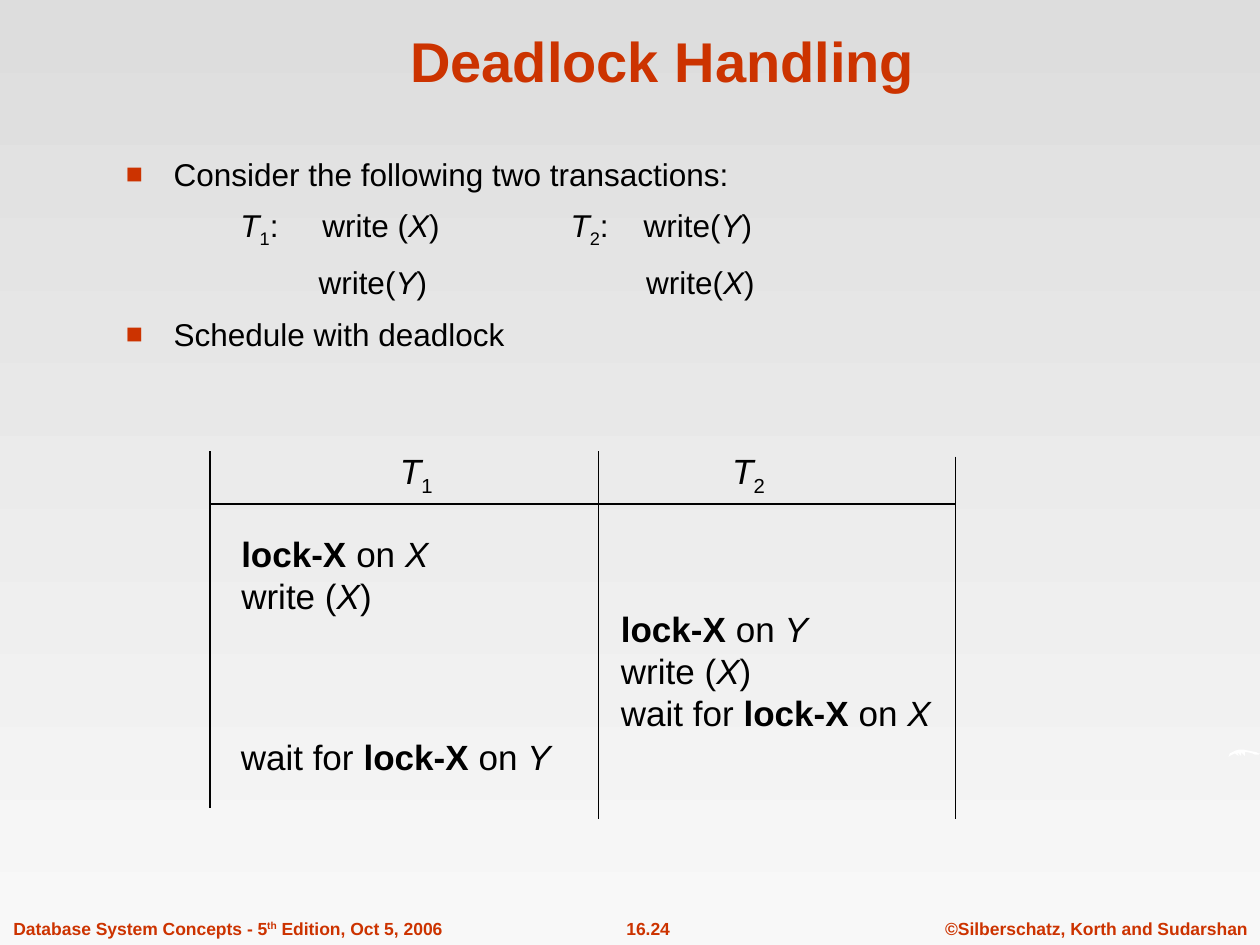
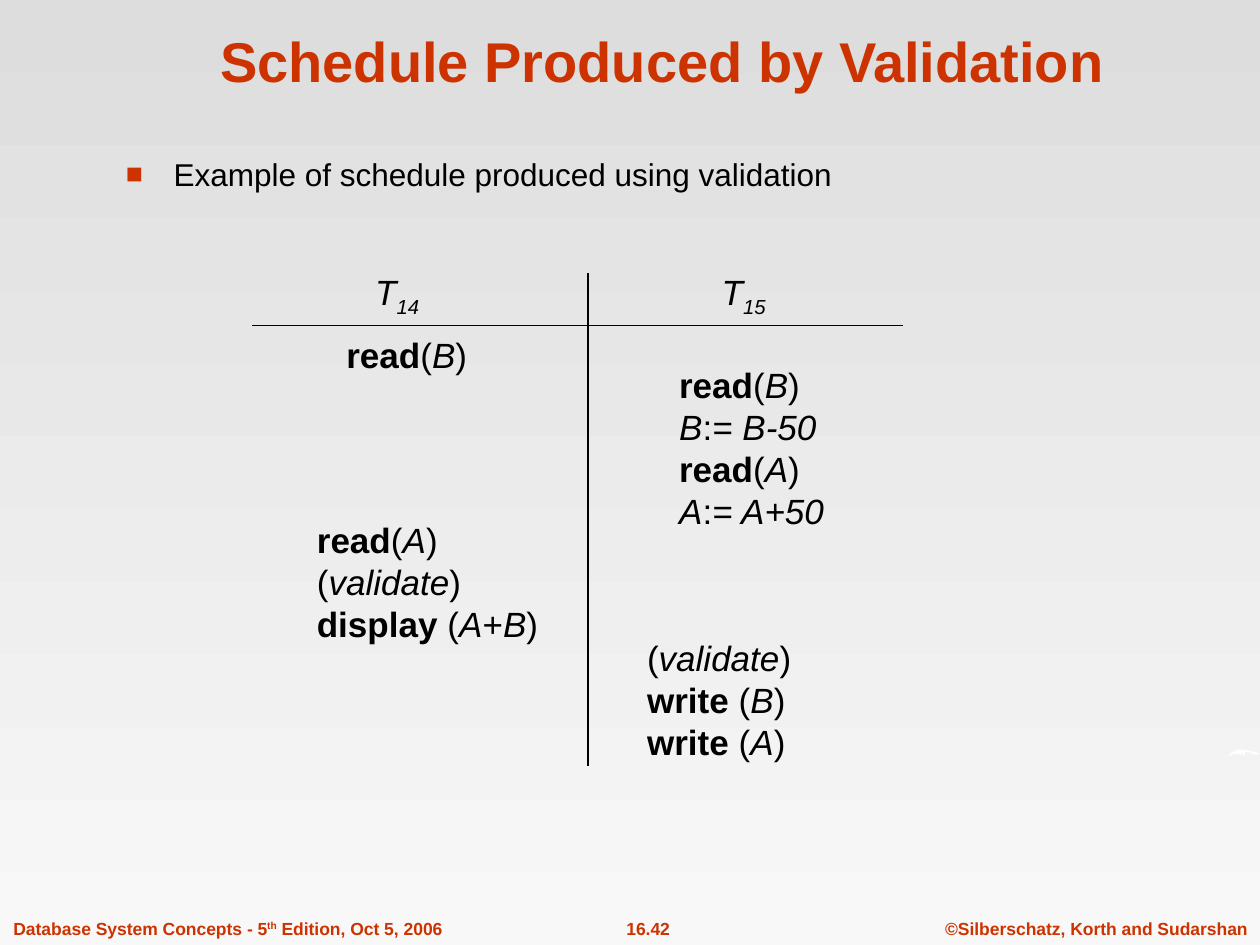
"""Build two lecture slides on transaction schedules."""
import dataclasses
import typing

import lxml.etree
import pptx
import pptx.dml.color
import pptx.enum.dml
import pptx.enum.shapes
import pptx.enum.text
import pptx.oxml.ns
import pptx.slide
import pptx.text.text
import pptx.util

COLOURS = {"accent": "CC3300", "ink": "000000", "top": "DDDDDD", "bottom": "F8F8F8", "swoosh": "FFFFFF"}
FONT = "Arial"
WIDTH, HEIGHT = pptx.util.Inches(10), pptx.util.Inches(7.5)
COLUMNS, ROWS = 120, 90
TITLE_AREA = (10.1, 1.5, 106, 8)
BODY_AREA = (10.8, 14.15, 100.5, 64.25)
FOOTER_TOP, FOOTER_HEIGHT = 86.8, 3.2
LINE_ROWS, PADDING_ROWS, SUBSCRIPT_ROWS = 4, 1.25, 0.5
MARKS = "*_~^"
BASELINES = {"~": "-25000", "^": "30000"}
BULLET_INDENT = 0.38
TOP_TABS, LOWER_TABS = (0.91, 1.56, 3.53, 4.11), (1.53, 4.13)
ALIGN = pptx.enum.text.PP_ALIGN
SWOOSH_POINTS = [
    (975, 601), (976, 598), (978, 597), (980, 596), (983, 595), (987, 595),
    (992, 596), (997, 597), (999, 598), (1000, 598), (999, 599), (996, 599),
    (994, 598), (990, 597), (988, 597), (988, 600), (985, 597), (985, 600),
    (982, 597), (983, 600), (980, 598), (978, 599), (976, 600),
]


@dataclasses.dataclass(frozen=True)
class Line:
    """A paragraph: *bold*, _italic_, ~subscript~ and ^superscript^."""
    text: str
    bullet: bool = False
    tabs: tuple[float, ...] = ()


@dataclasses.dataclass(frozen=True)
class Rule:
    """A straight line of the schedule grid, in columns and rows."""
    left: float
    top: float
    right: float
    bottom: float


@dataclasses.dataclass(frozen=True)
class Steps:
    """A block of schedule steps, in columns and rows."""
    left: float
    top: float
    width: float
    lines: tuple[str, ...]

    @property
    def height(self) -> float:
        """Return the rows that the lines need."""
        subscript = SUBSCRIPT_ROWS if "~" in self.lines[0] else 0
        return len(self.lines) * LINE_ROWS + PADDING_ROWS + subscript


@dataclasses.dataclass(frozen=True)
class Schedule:
    """The content of one slide."""
    title: str
    number: str
    body: tuple[Line, ...]
    rules: tuple[Rule, ...]
    steps: tuple[Steps, ...]


SCHEDULES = (
    Schedule(
        "Deadlock Handling", "16.24",
        (
            Line("Consider the following two transactions:", bullet=True),
            Line("\t_T_~1~:\twrite (_X_)\t_T_~2~:\twrite(_Y_)", tabs=TOP_TABS),
            Line("\twrite(_Y_)\twrite(_X_)", tabs=LOWER_TABS),
            Line("Schedule with deadlock", bullet=True),
        ),
        (Rule(20, 48, 91, 48), Rule(20, 43, 20, 77), Rule(57, 43, 57, 78), Rule(91, 43.5, 91, 78)),
        (
            Steps(36.9, 42.2, 7, ("_T_~1~",)),
            Steps(68.55, 42.25, 7, ("_T_~2~",)),
            Steps(21.8, 50.15, 22, ("*lock-X* on _X_", "write (_X_)")),
            Steps(57.95, 57.25, 33, ("*lock-X* on _Y_", "write (_X_)", "wait for *lock-X* on _X_")),
            Steps(21.75, 69.5, 33, ("wait for *lock-X* on _Y_",)),
        ),
    ),
    Schedule(
        "Schedule Produced by Validation", "16.42",
        (Line("Example of schedule produced using validation", bullet=True),),
        (Rule(24, 31, 86, 31), Rule(56, 26, 56, 73)),
        (
            Steps(34.55, 25.15, 8, ("_T~14~_",)),
            Steps(67.55, 25.2, 8, ("_T~15~_",)),
            Steps(31.8, 31.2, 16, ("*read*(_B_)",)),
            Steps(63.5, 34, 18, ("*read*(_B_)", "_B_:_= B-50_", "*read*(_A_)", "_A_:_= A+50_")),
            Steps(29, 48.75, 26, ("*read*(_A_)", "(_validate_)", "*display* (_A_+_B_)")),
            Steps(60.45, 60, 18, ("(_validate_)", "*write* (_B_)", "*write* (_A_)")),
        ),
    ),
)


def across(columns: float) -> int:
    """Convert grid columns to a length."""
    return round(WIDTH * columns / COLUMNS)


def down(rows: float) -> int:
    """Convert grid rows to a length."""
    return round(HEIGHT * rows / ROWS)


def colour(name: str) -> pptx.dml.color.RGBColor:
    """Look up a named colour."""
    return pptx.dml.color.RGBColor.from_string(COLOURS[name])


def split_marks(text: str) -> typing.Iterator[tuple[str, frozenset[str]]]:
    """Yield pieces of text with the marks that apply to them."""
    active: frozenset[str] = frozenset()
    piece = ""
    for letter in text:
        if letter not in MARKS:
            piece += letter
            continue
        if piece:
            yield piece, active
        piece, active = "", active ^ {letter}
    if piece:
        yield piece, active


def add_detail(properties: lxml.etree._Element, tag: str, **attributes: str) -> lxml.etree._Element:
    """Append a drawing element with attributes."""
    element = lxml.etree.SubElement(properties, pptx.oxml.ns.qn(tag))
    for name, value in attributes.items():
        element.set(name, value)
    return element


def format_layout(para: pptx.text.text._Paragraph, line: Line) -> None:
    """Give a paragraph its bullet or its tab stops."""
    properties = para._p.get_or_add_pPr()
    if line.bullet:
        indent = pptx.util.Inches(BULLET_INDENT)
        properties.set("marL", str(indent))
        properties.set("indent", str(-indent))
        add_detail(add_detail(properties, "a:buClr"), "a:srgbClr", val=COLOURS["accent"])
        add_detail(properties, "a:buSzPct", val="90000")
        add_detail(properties, "a:buFont", typeface=FONT)
        add_detail(properties, "a:buChar", char="■")
    if line.tabs:
        stops = add_detail(properties, "a:tabLst")
        for position in line.tabs:
            add_detail(stops, "a:tab", pos=str(pptx.util.Inches(position)), algn="l")


def add_text(
    page: pptx.slide.Slide,
    area: tuple[float, float, float, float],
    lines: typing.Sequence[Line],
    *,
    size: float,
    ink: str = "ink",
    bold: bool = False,
    align: pptx.enum.text.PP_ALIGN = ALIGN.LEFT,
    bottom: bool = False,
    gap: float = 0,
) -> None:
    """Place formatted paragraphs in a text box on the grid."""
    left, top, width, height = area
    box = page.shapes.add_textbox(across(left), down(top), across(width), down(height))
    frame = box.text_frame
    frame.word_wrap = True
    frame.auto_size = pptx.enum.text.MSO_AUTO_SIZE.NONE
    anchors = pptx.enum.text.MSO_ANCHOR
    frame.vertical_anchor = anchors.BOTTOM if bottom else anchors.TOP
    for index, line in enumerate(lines):
        para = frame.add_paragraph() if index else frame.paragraphs[0]
        format_layout(para, line)
        para.alignment = align
        para.space_before = pptx.util.Pt(gap if index else 0)
        for piece, marks in split_marks(line.text):
            span = para.add_run()
            span.text = piece
            span.font.name = FONT
            span.font.size = pptx.util.Pt(size)
            span.font.color.rgb = colour(ink)
            span.font.bold = bold or "*" in marks
            span.font.italic = "_" in marks
            for mark in marks & BASELINES.keys():
                span._r.get_or_add_rPr().set("baseline", BASELINES[mark])


def add_rule(page: pptx.slide.Slide, rule: Rule) -> None:
    """Draw one thin line of the schedule grid."""
    connector = page.shapes.add_connector(
        pptx.enum.shapes.MSO_CONNECTOR.STRAIGHT,
        across(rule.left), down(rule.top), across(rule.right), down(rule.bottom),
    )
    connector.line.color.rgb = colour("ink")
    connector.line.width = pptx.util.Pt(0.75)
    add_detail(connector._element.spPr, "a:effectLst")


def add_swoosh(page: pptx.slide.Slide) -> None:
    """Draw the white stroke at the right edge, in thousandths of the width."""
    start, *others = SWOOSH_POINTS
    builder = page.shapes.build_freeform(*start, scale=WIDTH / 1000)
    builder.add_line_segments(others, close=True)
    swoosh = builder.convert_to_shape()
    swoosh.fill.solid()
    swoosh.fill.fore_color.rgb = colour("swoosh")
    swoosh.line.fill.background()
    swoosh.shadow.inherit = False


def add_frame(page: pptx.slide.Slide, schedule: Schedule) -> None:
    """Draw the background, footers and title that the slides share."""
    fill = page.background.fill
    fill.gradient()
    fill.gradient_angle = 270
    for stop, name in zip(fill.gradient_stops, ("top", "bottom")):
        stop.color.rgb = colour(name)
    footers = (
        (84, 36, "©Silberschatz, Korth and Sudarshan", ALIGN.RIGHT),
        (55.35, 12.75, schedule.number, ALIGN.CENTER),
        (0.1, 48, "Database System Concepts - 5^th^ Edition, Oct 5, 2006", ALIGN.LEFT),
    )
    for left, width, text, align in footers:
        area = (left, FOOTER_TOP, width, FOOTER_HEIGHT)
        add_text(page, area, [Line(text)], size=10, ink="accent", bold=True, align=align)
    add_swoosh(page)
    add_text(page, TITLE_AREA, [Line(schedule.title)], size=32, ink="accent",
             bold=True, align=ALIGN.CENTER, bottom=True)


def add_schedule(page: pptx.slide.Slide, schedule: Schedule) -> None:
    """Draw the bullets and the schedule of one slide."""
    add_frame(page, schedule)
    add_text(page, BODY_AREA, schedule.body, size=18, gap=7.9)
    for rule in schedule.rules:
        add_rule(page, rule)
    for steps in schedule.steps:
        area = (steps.left, steps.top, steps.width, steps.height)
        add_text(page, area, [Line(text) for text in steps.lines], size=20)


def main() -> None:
    """Build and save the deck."""
    deck = pptx.Presentation()
    deck.slide_width, deck.slide_height = WIDTH, HEIGHT
    blank = deck.slide_layouts[6]
    for schedule in SCHEDULES:
        add_schedule(deck.slides.add_slide(blank), schedule)
    deck.save("out.pptx")


if __name__ == "__main__":
    main()
